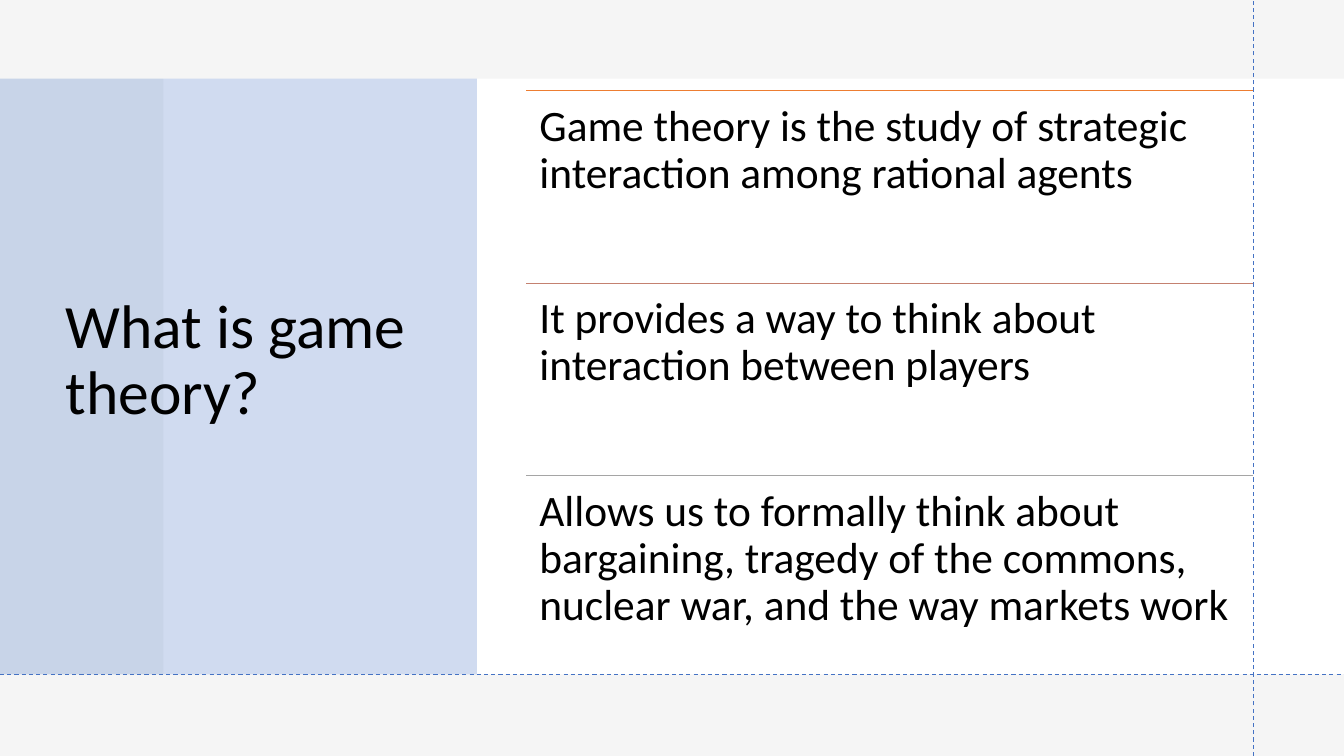
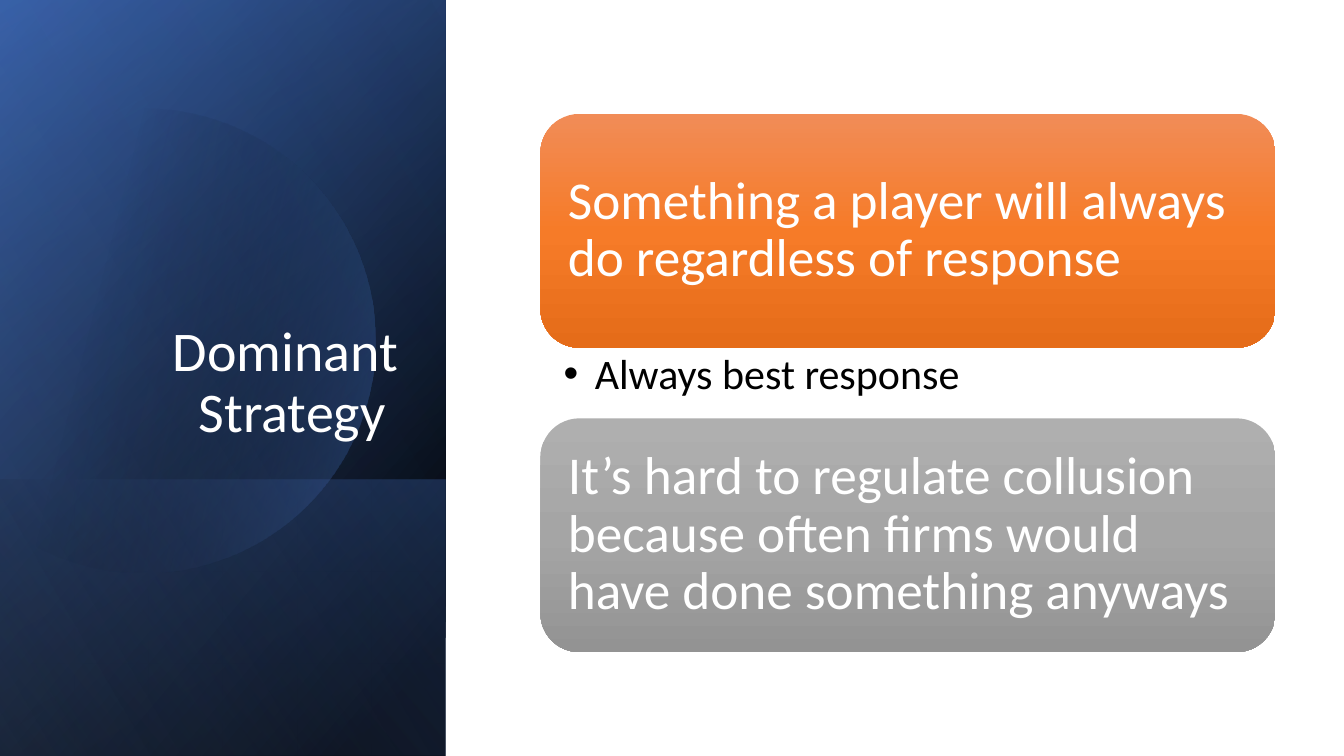
import math
from dataclasses import dataclass

from lxml import etree
from pptx import Presentation
from pptx import util as u
from pptx.dml.color import RGBColor
from pptx.enum import dml, shapes, text
from pptx.oxml import ns

Inches = u.Inches


@dataclass(frozen=True)
class Theme:
    font: str = "Calibri"
    white: str = "FFFFFF"
    black: str = "000000"
    margin: str = "F5F5F5"
    blue: str = "4472C4"
    deep_blue: str = "2F5597"
    pale_blue: str = "8FAADC"
    orange: str = "ED7D31"
    clay: str = "C48170"
    grey: str = "A5A5A5"
    orange_card: tuple = ((0, "F18C57"), (50, "F67B28"), (100, "E56C19"))
    grey_card: tuple = ((0, "AFAFAF"), (50, "A5A5A5"), (100, "939393"))
    title_large: int = 44
    title_small: int = 40
    card_size: int = 38
    row_size: int = 31
    detail_size: int = 30
    leading: float = 0.9


@dataclass(frozen=True)
class Box:
    left: float
    top: float
    width: float
    height: float

    @property
    def right(self):
        return self.left + self.width

    @property
    def bottom(self):
        return self.top + self.height

    def lengths(self):
        return [Inches(n) for n in (self.left, self.top, self.width, self.height)]


THEME = Theme()
SLIDE = Box(0, 0, 13.33, 7.5)


def add_color(parent, color, opacity=100):
    node = etree.SubElement(parent, ns.qn("a:srgbClr"), val=color)
    if opacity < 100:
        etree.SubElement(node, ns.qn("a:alpha"), val=str(opacity * 1000))


def replace_fill(shape, fill):
    shape.fill.background()
    properties = shape._element.spPr
    properties.replace(properties.find(ns.qn("a:noFill")), fill)
    shape.line.fill.background()
    shape.shadow.inherit = False


def fill_solid(shape, color, opacity=100):
    fill = etree.Element(ns.qn("a:solidFill"))
    add_color(fill, color, opacity)
    replace_fill(shape, fill)


def fill_gradient(shape, stops, angle):
    fill = etree.Element(ns.qn("a:gradFill"), rotWithShape="1")
    stop_list = etree.SubElement(fill, ns.qn("a:gsLst"))
    for position, *color in stops:
        stop = etree.SubElement(stop_list, ns.qn("a:gs"), pos=str(position * 1000))
        add_color(stop, *color)
    etree.SubElement(fill, ns.qn("a:lin"), ang=str(angle * 60000), scaled="0")
    replace_fill(shape, fill)


def add_panel(page, box, kind=shapes.MSO_SHAPE.RECTANGLE):
    return page.shapes.add_shape(kind, *box.lengths())


def add_rule(page, start, end, color, width, dashed=False):
    rule = page.shapes.add_connector(
        shapes.MSO_CONNECTOR.STRAIGHT, *[Inches(n) for n in (*start, *end)]
    )
    rule.line.color.rgb = RGBColor.from_string(color)
    rule.line.width = u.Pt(width)
    if dashed:
        rule.line.dash_style = dml.MSO_LINE.DASH
    etree.SubElement(rule._element.spPr, ns.qn("a:effectLst"))


def write(shape, words, size, color, insets=(0.1, 0.05, 0.1, 0.05),
          anchor=text.MSO_ANCHOR.TOP, align=text.PP_ALIGN.LEFT):
    frame = shape.text_frame
    frame.word_wrap = True
    frame.auto_size = text.MSO_AUTO_SIZE.NONE
    frame.vertical_anchor = anchor
    (frame.margin_left, frame.margin_top,
     frame.margin_right, frame.margin_bottom) = [Inches(n) for n in insets]
    para = frame.paragraphs[0]
    para.alignment = align
    para.line_spacing = THEME.leading
    para.space_before = u.Pt(0)
    span = para.add_run()
    span.text = words
    span.font.name = THEME.font
    span.font.size = u.Pt(size)
    span.font.color.rgb = RGBColor.from_string(color)
    return para


def move(shape, box):
    shape.left, shape.top, shape.width, shape.height = box.lengths()


def place_title(page, box, words, size, color, anchor, align=text.PP_ALIGN.LEFT):
    title = page.shapes.title
    page.shapes._spTree.append(title._element)
    move(title, box)
    write(title, words, size, color, anchor=anchor, align=align)


def add_page(deck, layout, color):
    page = deck.slides.add_slide(deck.slide_layouts.get_by_name(layout))
    page.background.fill.solid()
    page.background.fill.fore_color.rgb = RGBColor.from_string(color)
    return page


def draw_light_backdrop(page, box):
    fill_solid(add_panel(page, Box(1.62, box.top, SLIDE.right - 1.62, box.height)), THEME.white)
    fill_solid(add_panel(page, box), THEME.blue, 25)


def draw_guides(page, across, down):
    add_rule(page, (across, SLIDE.bottom), (across, 0), THEME.blue, 0.75, True)
    add_rule(page, (0, down), (SLIDE.right, down), THEME.blue, 0.75, True)


def draw_ruled_rows(page, box, rows):
    height = box.height / len(rows)
    for index, (words, color) in enumerate(rows):
        row = Box(box.left, box.top + index * height, box.width, height)
        add_rule(page, (row.left, row.top), (row.right, row.top), color, 1)
        label = page.shapes.add_textbox(*row.lengths())
        write(label, words, THEME.row_size, THEME.black, insets=(0.13,) * 4)


def draw_disc(page, center_x, center_y, radius):
    reach = math.acos(-center_x / radius)
    steps = 90
    angles = [reach * (2 * step / steps - 1) for step in range(steps + 1)]
    points = [
        (Inches(center_x + radius * math.cos(angle)), Inches(center_y + radius * math.sin(angle)))
        for angle in angles
    ]
    outline = page.shapes.build_freeform(*points[0])
    outline.add_line_segments(points[1:], close=True)
    fill_gradient(
        outline.convert_to_shape(), ((29, THEME.black, 0), (100, THEME.blue, 43)), 14
    )


def draw_dark_backdrop(page, box):
    band = Box(box.left, box.bottom - 2.74, box.width, 2.74)
    layers = (
        (box, ((8, THEME.black), (100, THEME.deep_blue)), 220),
        (box, ((0, THEME.black, 0), (99, THEME.blue, 46)), 240),
        (band, ((2, THEME.blue, 29), (100, THEME.black, 30)), 140),
    )
    for area, stops, angle in layers:
        fill_gradient(add_panel(page, area), stops, angle)
    draw_disc(page, box.left + 1.42, box.top + 3.38, 2.3)
    fill_gradient(
        add_panel(page, box), ((0, THEME.black, 0), (99, THEME.pale_blue, 11)), 150
    )


def draw_card(page, box, words, stops):
    card = add_panel(page, box, shapes.MSO_SHAPE.ROUNDED_RECTANGLE)
    fill_gradient(card, stops, 90)
    write(card, words, THEME.card_size, THEME.white,
          insets=(0.16,) * 4, anchor=text.MSO_ANCHOR.MIDDLE)


def place_detail(page, box, words):
    body = page.placeholders[1]
    move(body, box)
    para = write(body, words, THEME.detail_size, THEME.black, insets=(0.23, 0.05, 0.3, 0.05))
    properties = para._p.get_or_add_pPr()
    properties.set("marL", str(Inches(0.31)))
    properties.set("indent", str(-Inches(0.31)))
    etree.SubElement(properties, ns.qn("a:buChar"), char="•")


def draw_card_stack(page, box, first, detail, last):
    gap = 0.7
    height = (box.height - gap) / 2
    draw_card(page, Box(box.left, box.top, box.width, height), first, THEME.orange_card)
    place_detail(page, Box(box.left, box.top + height, box.width, gap), detail)
    draw_card(page, Box(box.left, box.bottom - height, box.width, height), last, THEME.grey_card)


def build_definition(deck):
    page = add_page(deck, "Title Only", THEME.margin)
    draw_light_backdrop(page, Box(0, 0.78, 4.73, 5.91))
    place_title(page, Box(0.55, 0.74, 3.95, 5.69), "What is game theory?",
                THEME.title_large, THEME.black, text.MSO_ANCHOR.MIDDLE)
    draw_guides(page, 12.43, 6.69)
    draw_ruled_rows(page, Box(5.22, 0.9, 7.21, 5.73), (
        ("Game theory is the study of strategic interaction among rational agents", THEME.orange),
        ("It provides a way to think about interaction between players", THEME.clay),
        ("Allows us to formally think about bargaining, tragedy of the commons, "
         "nuclear war, and the way markets work", THEME.grey),
    ))


def build_strategy(deck):
    page = add_page(deck, "Title and Content", THEME.white)
    draw_dark_backdrop(page, Box(0, 0, 4.42, SLIDE.height))
    place_title(page, Box(0.64, 1.84, 3.41, 2.62), "Dominant Strategy ",
                THEME.title_small, THEME.white, text.MSO_ANCHOR.BOTTOM, text.PP_ALIGN.RIGHT)
    draw_card_stack(
        page, Box(5.36, 1.13, 7.29, 5.34),
        "Something a player will always do regardless of response",
        "Always best response",
        "It’s hard to regulate collusion because often firms would have done something anyways",
    )


def main():
    deck = Presentation()
    deck.slide_width, deck.slide_height = Inches(SLIDE.width), Inches(SLIDE.height)
    build_definition(deck)
    build_strategy(deck)
    deck.save("out.pptx")


if __name__ == "__main__":
    main()
